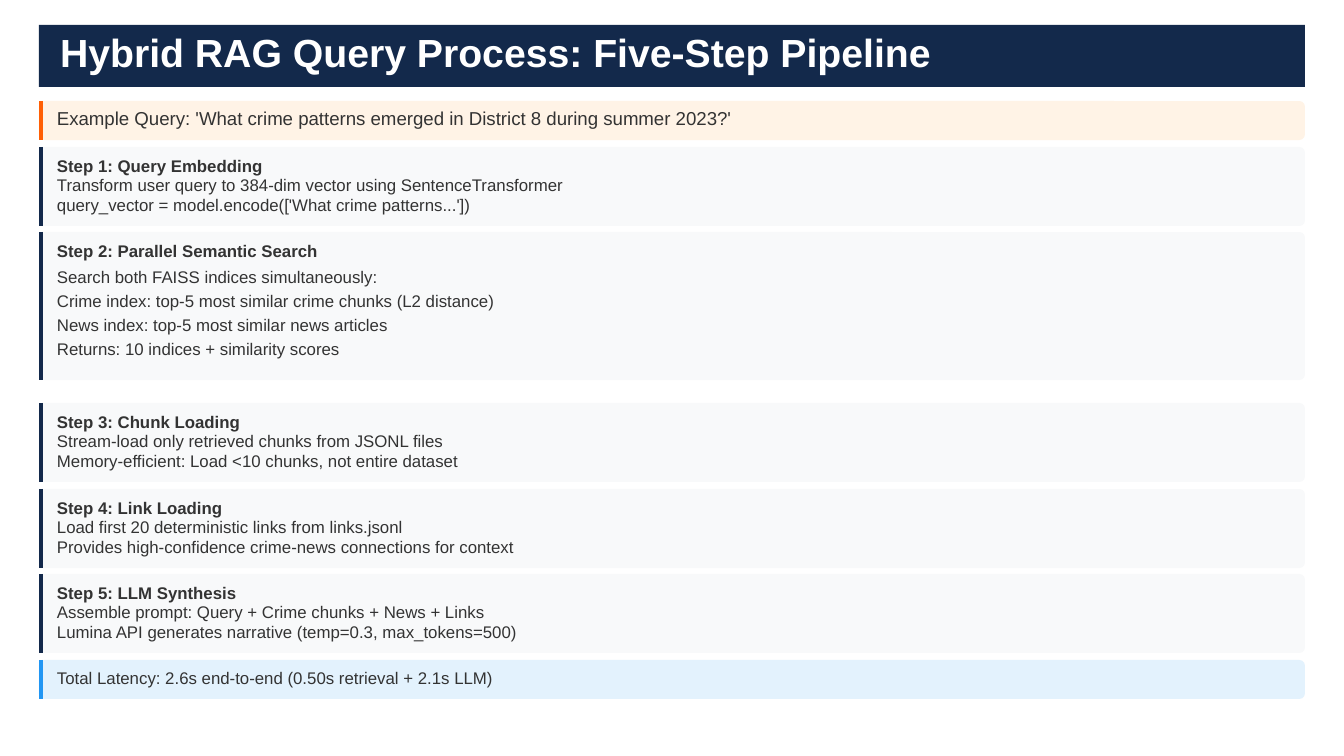
from lxml.etree import SubElement
from pptx import Presentation
from pptx.dml.color import RGBColor
from pptx.enum.shapes import MSO_CONNECTOR, MSO_SHAPE
from pptx.enum.text import MSO_ANCHOR, PP_ALIGN
from pptx.oxml.ns import qn
from pptx.util import Emu, Pt

COLORS = {
    "navy": "13294B", "white": "FFFFFF", "ink": "333333", "orange": "FF5F05",
    "cream": "FFF3E6", "gray": "F8F9FA", "blue": "2196F3", "sky": "E3F2FD",
}
TITLE = "Hybrid RAG Query Process: Five-Step Pipeline"
BANNERS = [
    (101, "cream", "orange", 10,
     "Example Query: 'What crime patterns emerged in District 8 during summer 2023?'"),
    (660, "sky", "blue", 9,
     "Total Latency: 2.6s end-to-end (0.50s retrieval + 2.1s LLM)"),
]
TIGHT = {"offset": 31, "leading": 9, "after": 1.5}
LOOSE = {"offset": 35, "leading": 10.7, "after": 2.2}
STEPS = [
    (147, 79, TIGHT, "Step 1: Query Embedding", [
        "Transform user query to 384-dim vector using SentenceTransformer",
        "query_vector = model.encode(['What crime patterns...'])"]),
    (232, 148, LOOSE, "Step 2: Parallel Semantic Search", [
        "Search both FAISS indices simultaneously:",
        "Crime index: top-5 most similar crime chunks (L2 distance)",
        "News index: top-5 most similar news articles",
        "Returns: 10 indices + similarity scores"]),
    (403, 79, TIGHT, "Step 3: Chunk Loading", [
        "Stream-load only retrieved chunks from JSONL files",
        "Memory-efficient: Load <10 chunks, not entire dataset"]),
    (489, 79, TIGHT, "Step 4: Link Loading", [
        "Load first 20 deterministic links from links.jsonl",
        "Provides high-confidence crime-news connections for context"]),
    (574, 79, TIGHT, "Step 5: LLM Synthesis", [
        "Assemble prompt: Query + Crime chunks + News + Links",
        "Lumina API generates narrative (temp=0.3, max_tokens=500)"]),
]
LEFT, WIDTH = 39, 1266
ACCENT_X, TEXT_X, TEXT_WIDTH = 41, 57, 1242
BANNER_HEIGHT, LINE_HEIGHT, PAD, RADIUS = 39, 16, 12, 5.6


def px(length):
    return Emu(round(length * 914400 / 134.4))


def color(name):
    return RGBColor.from_string(COLORS[name])


def add_panel(slide, kind, top, height, fill):
    panel = slide.shapes.add_shape(kind, px(LEFT), px(top), px(WIDTH), px(height))
    panel.shadow.inherit = False
    panel.fill.solid()
    panel.fill.fore_color.rgb = color(fill)
    panel.line.fill.background()
    return panel


def add_card(slide, top, height, fill, accent):
    card = add_panel(slide, MSO_SHAPE.ROUNDED_RECTANGLE, top, height, fill)
    card.adjustments[0] = RADIUS / height
    edge = slide.shapes.add_connector(
        MSO_CONNECTOR.STRAIGHT, px(ACCENT_X), px(top), px(ACCENT_X), px(top + height))
    edge.line.color.rgb = color(accent)
    edge.line.width = Pt(2.25)
    SubElement(edge._element.spPr, qn("a:effectLst"))


def add_text(slide, area, lines, size, ink="ink", bold=False, leading=9, after=0, inset=0):
    box = slide.shapes.add_textbox(*map(px, area))
    frame = box.text_frame
    frame_format = {
        "word_wrap": True, "vertical_anchor": MSO_ANCHOR.TOP,
        "margin_left": px(inset), "margin_right": px(inset),
        "margin_top": 0, "margin_bottom": 0,
    }
    for name, value in frame_format.items():
        setattr(frame, name, value)
    para_format = {"alignment": PP_ALIGN.LEFT, "line_spacing": Pt(leading),
                   "space_before": Pt(0), "space_after": Pt(after)}
    font_format = {"name": "Arial", "size": Pt(size), "bold": bold}
    for index, line in enumerate(lines):
        para = frame.add_paragraph() if index else frame.paragraphs[0]
        for name, value in para_format.items():
            setattr(para, name, value)
        span = para.add_run()
        span.text = line
        for name, value in font_format.items():
            setattr(span.font, name, value)
        span.font.color.rgb = color(ink)


def add_banner(slide, top, fill, accent, size, line):
    add_card(slide, top, BANNER_HEIGHT, fill, accent)
    add_text(slide, (TEXT_X, top + PAD - 1, TEXT_WIDTH, LINE_HEIGHT), [line], size)


def add_step(slide, top, height, style, heading, lines):
    add_card(slide, top, height, "gray", "navy")
    add_text(slide, (TEXT_X, top + PAD, TEXT_WIDTH, LINE_HEIGHT), [heading], 9, bold=True)
    body_top = top + style["offset"]
    add_text(slide, (TEXT_X, body_top, TEXT_WIDTH, top + height - body_top), lines, 9,
             leading=style["leading"], after=style["after"])


def main():
    deck = Presentation()
    deck.slide_width, deck.slide_height = px(1344), px(756)
    page = deck.slides.add_slide(deck.slide_layouts[6])
    add_panel(page, MSO_SHAPE.RECTANGLE, 25, 62, "navy")
    add_text(page, (LEFT, 36, 933, 39), [TITLE], 21, "white", True, leading=21, inset=21)
    query, latency = BANNERS
    add_banner(page, *query)
    for step in STEPS:
        add_step(page, *step)
    add_banner(page, *latency)
    deck.save("out.pptx")


if __name__ == "__main__":
    main()
